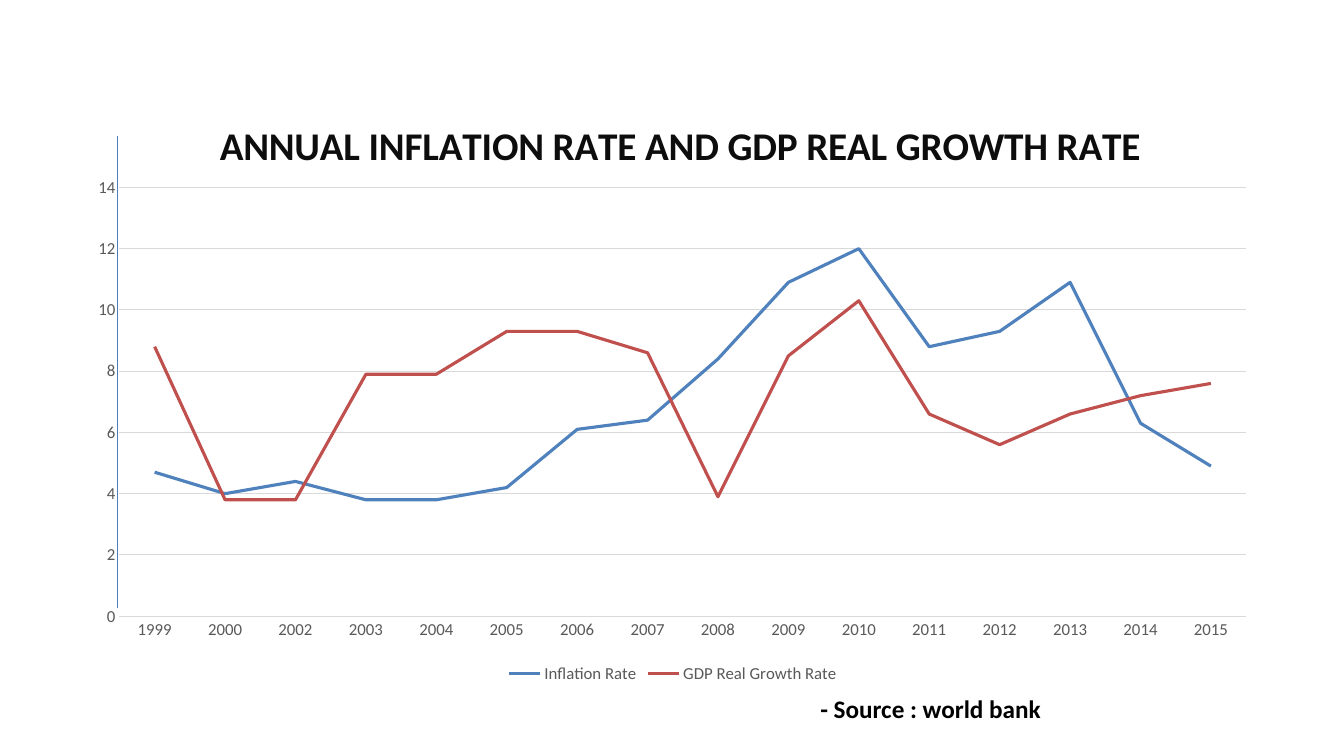
from dataclasses import dataclass

from lxml.etree import SubElement
from pptx import Presentation
from pptx.chart.data import CategoryChartData
from pptx.dml.color import RGBColor
from pptx.enum.chart import XL_CHART_TYPE, XL_LEGEND_POSITION, XL_MARKER_STYLE, XL_TICK_MARK
from pptx.enum.shapes import MSO_CONNECTOR
from pptx.enum.text import MSO_AUTO_SIZE
from pptx.oxml.ns import qn
from pptx.util import Inches, Pt


@dataclass(frozen=True)
class Theme:
    font: str = "Calibri"
    black: str = "000000"
    title: str = "0D0D0D"
    label: str = "595959"
    grid: str = "D9D9D9"
    rule: str = "4B7EBC"
    series: tuple = ("4F81BD", "C0504D")
    title_size: float = 28
    source_size: float = 18
    label_size: float = 12
    base_size: float = 10
    hairline: float = 0.75
    series_line: float = 2.25


@dataclass(frozen=True)
class Box:
    left: float
    top: float
    width: float
    height: float

    def share(self, left, top, width, height):
        return Box(
            self.left + left * self.width,
            self.top + top * self.height,
            width * self.width,
            height * self.height,
        )

    def lengths(self):
        return tuple(Inches(v) for v in (self.left, self.top, self.width, self.height))


THEME = Theme()
YEARS = ["1999"] + [str(year) for year in range(2000, 2016) if year != 2001]
RATES = {
    "Inflation Rate": (4.7, 4, 4.4, 3.8, 3.8, 4.2, 6.1, 6.4, 8.4, 10.9, 12, 8.8, 9.3, 10.9, 6.3, 4.9),
    "GDP Real Growth Rate": (8.8, 3.8, 3.8, 7.9, 7.9, 9.3, 9.3, 8.6, 3.9, 8.5, 10.3, 6.6, 5.6, 6.6, 7.2, 7.6),
}


def style_font(font, size, color, bold=False):
    font.name = THEME.font
    font.size = Pt(size)
    font.bold = bold
    font.color.rgb = RGBColor.from_string(color)


def style_line(line, color, width):
    line.color.rgb = RGBColor.from_string(color)
    line.width = Pt(width)


def set_layout(element, index, **settings):
    for old_layout in element.findall(qn("c:layout")):
        element.remove(old_layout)
    layout = element.makeelement(qn("c:layout"))
    element.insert(index, layout)
    manual = SubElement(layout, qn("c:manualLayout"))
    for name, value in settings.items():
        SubElement(manual, qn(f"c:{name}")).set("val", str(value))


def add_title(chart):
    chart.has_title = True
    chart.chart_title.include_in_layout = False
    paragraph = chart.chart_title.text_frame.paragraphs[0]
    run = paragraph.add_run()
    run.text = "ANNUAL INFLATION RATE AND GDP REAL GROWTH RATE"
    style_font(run.font, THEME.title_size, THEME.title, bold=True)
    set_layout(chart.chart_title.element, 1, xMode="edge", yMode="edge", x=0.115, y=0.035)


def style_axes(chart):
    for axis in (chart.category_axis, chart.value_axis):
        axis.major_tick_mark = XL_TICK_MARK.NONE
        axis.minor_tick_mark = XL_TICK_MARK.NONE
        style_font(axis.tick_labels.font, THEME.label_size, THEME.label)
    style_line(chart.category_axis.format.line, THEME.grid, THEME.hairline)
    value_axis = chart.value_axis
    value_axis.minimum_scale, value_axis.maximum_scale, value_axis.major_unit = 0, 14, 2
    value_axis.format.line.fill.background()
    style_line(value_axis.major_gridlines.format.line, THEME.grid, THEME.hairline)


def add_rate_chart(slide, box):
    data = CategoryChartData()
    data.categories = YEARS
    for name, values in RATES.items():
        data.add_series(name, values)
    chart = slide.shapes.add_chart(XL_CHART_TYPE.LINE, *box.lengths(), data).chart
    style_font(chart.font, THEME.base_size, THEME.black)
    add_title(chart)
    style_axes(chart)
    chart.has_legend = True
    chart.legend.position = XL_LEGEND_POSITION.BOTTOM
    chart.legend.include_in_layout = False
    style_font(chart.legend.font, THEME.label_size, THEME.label)
    plot = chart.plots[0]
    plot.vary_by_categories = False
    for series, color in zip(plot.series, THEME.series):
        series.smooth = False
        series.marker.style = XL_MARKER_STYLE.NONE
        style_line(series.format.line, color, THEME.series_line)
    plot_area = next(chart.element.iter(qn("c:plotArea")))
    set_layout(
        plot_area, 0, layoutTarget="inner", xMode="edge", yMode="edge",
        x=0.037, y=0.162, w=0.943, h=0.718,
    )


def add_axis_rule(slide, box):
    left, top, _, height = box.lengths()
    rule = slide.shapes.add_connector(MSO_CONNECTOR.STRAIGHT, left, top, left, top + height)
    style_line(rule.line, THEME.rule, THEME.hairline)
    SubElement(rule.element.spPr, qn("a:effectLst"))


def add_source(slide, box):
    text_frame = slide.shapes.add_textbox(*box.lengths()).text_frame
    text_frame.word_wrap = False
    text_frame.auto_size = MSO_AUTO_SIZE.SHAPE_TO_FIT_TEXT
    run = text_frame.paragraphs[0].add_run()
    run.text = "- Source : world bank"
    style_font(run.font, THEME.source_size, THEME.black, bold=True)


def build_rate_slide(presentation, box):
    slide = presentation.slides.add_slide(presentation.slide_layouts[6])
    chart_box = box.share(0.056, 0.12, 0.889, 0.79)
    add_rate_chart(slide, chart_box)
    add_source(slide, box.share(0.603, 0.91, 0.185, 0.053))
    add_axis_rule(slide, chart_box.share(0.035, 0.076, 0, 0.791))


def main():
    page = Box(0, 0, 13.33, 7.5)
    presentation = Presentation()
    presentation.slide_width = Inches(page.width)
    presentation.slide_height = Inches(page.height)
    build_rate_slide(presentation, page)
    presentation.save("out.pptx")


if __name__ == "__main__":
    main()
